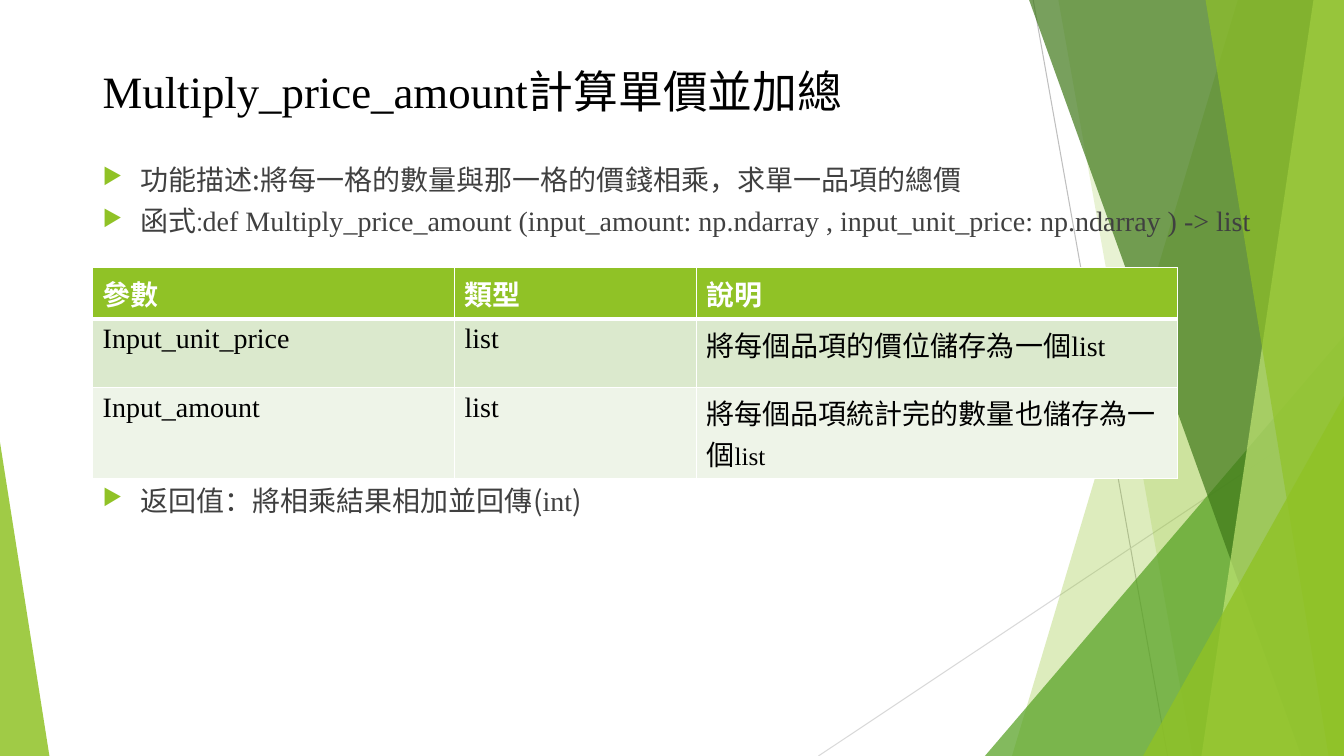
from lxml.etree import SubElement
from pptx import Presentation
from pptx.dml.color import RGBColor
from pptx.enum.shapes import MSO_CONNECTOR, MSO_SHAPE
from pptx.enum.text import MSO_ANCHOR
from pptx.oxml.ns import qn
from pptx.util import Pt

WIDE, HIGH = 960, 540
LEFT = 66.2
SANS, SERIF, ROUND = "Noto Sans CJK SC", "Times New Roman", "Roboto"

WHITE = RGBColor(0xFF, 0xFF, 0xFF)
BLACK = RGBColor(0x00, 0x00, 0x00)
DARK = RGBColor(0x40, 0x40, 0x40)
LIME = RGBColor(0x90, 0xC2, 0x26)
GREEN = RGBColor(0x54, 0xA0, 0x21)
FOREST = RGBColor(0x3F, 0x78, 0x19)
PALE = RGBColor(0xC0, 0xE4, 0x74)
SILVER = RGBColor(0xBF, 0xBF, 0xBF)
MIST = RGBColor(0xD9, 0xD9, 0xD9)
BAND_A = RGBColor(0xDB, 0xE9, 0xCD)
BAND_B = RGBColor(0xEE, 0xF4, 0xE8)


class Deck:
    def __init__(self):
        self.prs = Presentation()
        self.prs.slide_width, self.prs.slide_height = Pt(WIDE), Pt(HIGH)
        self.slide = self.prs.slides.add_slide(self.prs.slide_layouts[6])
        self.shapes = self.slide.shapes

    def line(self, x1, y1, x2, y2, color):
        line = self.shapes.add_connector(
            MSO_CONNECTOR.STRAIGHT, Pt(x1), Pt(y1), Pt(x2), Pt(y2))
        line.line.color.rgb = color
        line.line.width = Pt(0.75)
        SubElement(line._element.spPr, qn("a:effectLst"))

    def paint(self, shape, color, alpha):
        shape.shadow.inherit = False
        shape.line.fill.background()
        shape.fill.solid()
        shape.fill.fore_color.rgb = color
        tint = shape._element.spPr.find(qn("a:solidFill"))[0]
        SubElement(tint, qn("a:alpha"), val=str(alpha * 1000))

    def panel(self, top, base, color, alpha):
        """Fill from a slanted edge to the right side of the slide."""
        pen = self.shapes.build_freeform(Pt(top), 0)
        pen.add_line_segments(
            [(Pt(WIDE), 0), (Pt(WIDE), Pt(HIGH)), (Pt(base), Pt(HIGH))])
        self.paint(pen.convert_to_shape(), color, alpha)

    def wedge(self, x, y, width, tip, color, alpha):
        """Triangle that stands on the bottom edge."""
        shape = self.shapes.add_shape(
            MSO_SHAPE.ISOSCELES_TRIANGLE, Pt(x), Pt(y), Pt(width), Pt(HIGH - y))
        shape.adjustments[0] = tip
        self.paint(shape, color, alpha)

    def fill_para(self, para, runs, size, color, bold=False):
        """Runs are (text, font) or (text, font, own size)."""
        para.font.color.rgb = color
        para.font.bold = bold
        para.font.size = Pt(size)
        for text, face, *own in runs:
            run = para.add_run()
            run.text = text
            run.font.name = face
            run.font.size = Pt(own[0] if own else size)
            run.font.color.rgb = color
            run.font.bold = bold
            if face == SANS:
                SubElement(run._r.rPr, qn("a:ea"), typeface=face)

    def box(self, x, y, width, height):
        frame = self.shapes.add_textbox(
            Pt(x), Pt(y), Pt(width), Pt(height)).text_frame
        frame.word_wrap = True
        return frame

    def title(self, runs):
        frame = self.box(LEFT, 28.8, 828, 77)
        frame.vertical_anchor = MSO_ANCHOR.MIDDLE
        frame.paragraphs[0].line_spacing = 0.9
        self.fill_para(frame.paragraphs[0], runs, 32, BLACK)

    def body(self, items):
        frame = self.box(LEFT, 115.2, 865.4, 342.7)
        for i, (gap, runs) in enumerate(items):
            para = frame.add_paragraph() if i else frame.paragraphs[0]
            para.line_spacing = 0.9
            para.space_before = Pt(gap)
            self.bullet(para)
            self.fill_para(para, runs, 20, DARK)

    def bullet(self, para):
        props = para._p.get_or_add_pPr()
        props.set("marL", str(Pt(27)))
        props.set("indent", str(-Pt(27)))
        tint = SubElement(props, qn("a:buClr"))
        SubElement(tint, qn("a:srgbClr"), val=str(LIME))
        SubElement(props, qn("a:buSzPct"), val="80000")
        SubElement(props, qn("a:buChar"), char="▶")

    def table(self, x, y, widths, heights, rows):
        table = self.shapes.add_table(
            len(rows), len(widths), Pt(x), Pt(y),
            Pt(sum(widths)), Pt(sum(heights))).table
        for col, width in zip(table.columns, widths):
            col.width = Pt(width)
        for i, (height, row) in enumerate(zip(heights, rows)):
            table.rows[i].height = Pt(height)
            for j, runs in enumerate(row):
                cell = table.cell(i, j)
                para = cell.text_frame.paragraphs[0]
                self.fill_para(para, runs, 20, BLACK if i else WHITE, not i)
                self.border(cell, 3 if i == 1 else 1, 1 if i else 3)
                cell.fill.solid()
                cell.fill.fore_color.rgb = (LIME, BAND_A, BAND_B)[i]

    def border(self, cell, top, base):
        props = cell._tc.get_or_add_tcPr()
        for side, width in (("L", 1), ("R", 1), ("T", top), ("B", base)):
            edge = SubElement(props, qn("a:ln" + side), w=str(Pt(width)))
            fill = SubElement(edge, qn("a:solidFill"))
            SubElement(fill, qn("a:srgbClr"), val=str(WHITE))


def main():
    deck = Deck()

    # Green facets, from back to front
    deck.line(738, 0, 834, HIGH, SILVER)
    deck.line(WIDE, 290, 584.6, HIGH, MIST)
    deck.panel(884.2, 722.9, LIME, 30)
    deck.panel(756, 851.8, LIME, 20)
    deck.wedge(703.5, 240, 256.5, 1, GREEN, 72)
    deck.panel(735.1, 929.5, FOREST, 70)
    deck.panel(938.2, 858.2, PALE, 70)
    deck.panel(861.1, 949, LIME, 65)
    deck.wedge(816.5, 283, 143.5, 1, LIME, 80)
    deck.wedge(0, 316, 35.3, 0, LIME, 85)

    # Bullets, with room for the table before the last one
    deck.body([
        (0, [("功能描述:將每一格的數量與那一格的價錢相乘，求單一品項的總價", SANS)]),
        (8, [("函式", SANS), (":", ROUND, 18),
             ("def Multiply_price_amount (input_amount: np.ndarray , "
              "input_unit_price: np.ndarray ) -> list", SERIF)]),
        (178, [("返回值：將相乘結果相加並回傳(", SANS), ("int", SERIF),
               (")", SANS)]),
    ])

    # Parameter table
    kind = [("list", SERIF)]
    deck.table(LEFT, 191.3, (258.5, 172.8, 343.6), (36.4, 49, 65.3), [
        [[(head, SANS)] for head in ("參數", "類型", "說明")],
        [[("Input_unit_price", SERIF)], kind,
         [("將每個品項的價位儲存為一個", SANS), ("list", SERIF)]],
        [[("Input_amount", SERIF)], kind,
         [("將每個品項統計完的數量也儲存為一個", SANS), ("list", SERIF, 18)]],
    ])

    # Title
    deck.title([("Multiply_price_amount", SERIF), ("計算單價並加總", SANS)])

    deck.prs.save("out.pptx")


if __name__ == "__main__":
    main()
